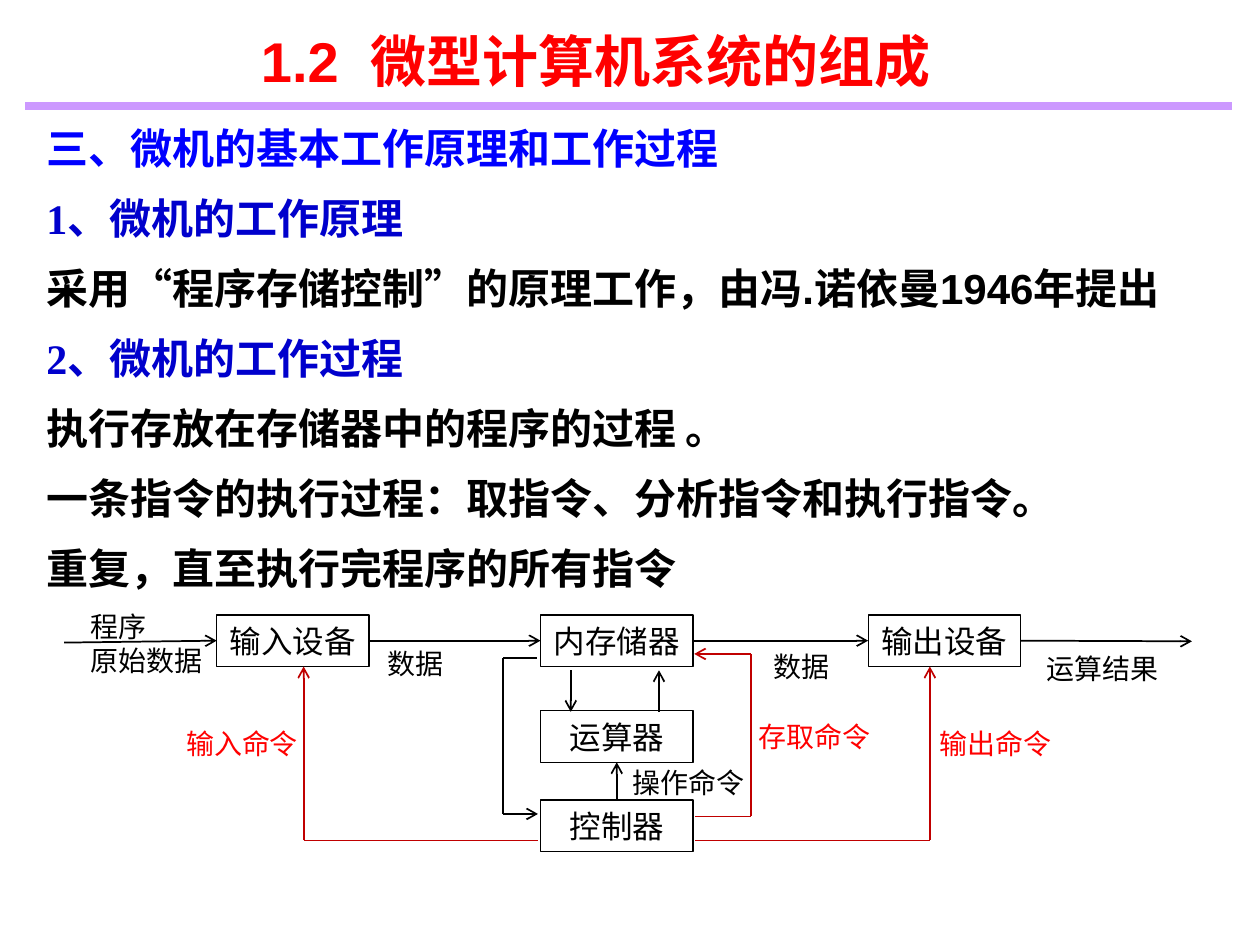
from dataclasses import dataclass
from itertools import pairwise

from lxml import etree
from pptx import Presentation
from pptx.dml.color import RGBColor
from pptx.enum.shapes import MSO_CONNECTOR, MSO_SHAPE
from pptx.enum.text import MSO_ANCHOR, MSO_AUTO_SIZE, PP_ALIGN
from pptx.oxml.ns import qn
from pptx.util import Inches, Pt

STRAIGHT = MSO_CONNECTOR.STRAIGHT
RECT = MSO_SHAPE.RECTANGLE
MIDDLE = MSO_ANCHOR.MIDDLE
CENTER = PP_ALIGN.CENTER
FIXED = MSO_AUTO_SIZE.NONE
TOP, LEFT, BOTTOM, RIGHT = range(4)

WIDE, TALL = Inches(10), Inches(7.5)
COLS, ROWS = 100, 75
SERIF, SANS = "Times New Roman", "Arial"
BLACK, RED, DARK = "000000", "FF0000", "C00000"
BLUE, NAVY, LILAC = "0000FF", "0000CC", "CC99FF"
BOX_W, BOX_H = 12.1, 4.1


@dataclass
class Unit:
    text: str
    col: float
    row: float


@dataclass
class Label:
    lines: tuple
    col: float
    row: float
    color: str = BLACK
    wide: float = 12.5


@dataclass
class Route:
    points: tuple
    color: str = BLACK


@dataclass
class Link:
    start: tuple
    end: tuple


def x(col: float) -> int:
    return round(WIDE * col / COLS)


def y(row: float) -> int:
    return round(TALL * row / ROWS)


def paint(code: str) -> RGBColor:
    return RGBColor.from_string(code)


def add_run(para, text: str, size: float, font: str, color: str, bold=False):
    run = para.add_run()
    run.text = text
    run.font.size = Pt(size)
    run.font.name = font
    run.font.bold = bold
    run.font.color.rgb = paint(color)
    return run


def add_text(slide, col: float, row: float, wide: float, tall: float):
    frame = slide.shapes.add_textbox(x(col), y(row), x(wide), y(tall)).text_frame
    frame.word_wrap = True
    return frame


def next_para(frame, index: int):
    return frame.add_paragraph() if index else frame.paragraphs[0]


def draw_line(slide, start: tuple, end: tuple, color=BLACK, width=1.0, arrow=False):
    line = slide.shapes.add_connector(
        STRAIGHT, x(start[0]), y(start[1]), x(end[0]), y(end[1]))
    line.line.color.rgb = paint(color)
    line.line.width = Pt(width)
    props = line._element.spPr
    if arrow:
        etree.SubElement(props.find(qn("a:ln")), qn("a:tailEnd"), type="arrow")
    etree.SubElement(props, qn("a:effectLst"))
    return line


def draw_route(slide, route: Route) -> None:
    legs = list(pairwise(route.points))
    for index, (start, end) in enumerate(legs, 1):
        draw_line(slide, start, end, route.color, arrow=index == len(legs))


def draw_link(slide, link: Link, boxes: dict) -> None:
    line = draw_line(slide, (0, 0), (1, 1), arrow=True)
    first, last = link.start, link.end
    if first[0] in boxes:
        line.begin_connect(boxes[first[0]], first[1])
    else:
        line.begin_x, line.begin_y = x(first[0]), y(first[1])
    if last[0] in boxes:
        line.end_connect(boxes[last[0]], last[1])
    else:
        line.end_x, line.end_y = x(last[0]), y(last[1])


def draw_unit(slide, unit: Unit):
    box = slide.shapes.add_shape(RECT, x(unit.col), y(unit.row), x(BOX_W), y(BOX_H))
    box.shadow.inherit = False
    box.fill.background()
    box.line.color.rgb = paint(BLACK)
    box.line.width = Pt(0.75)
    frame = box.text_frame
    frame.word_wrap = False
    frame.vertical_anchor = MIDDLE
    para = frame.paragraphs[0]
    para.alignment = CENTER
    add_run(para, unit.text, 18, SERIF, BLACK)
    return box


def draw_label(slide, label: Label) -> None:
    frame = add_text(slide, label.col, label.row, label.wide, 3.7)
    for index, text in enumerate(label.lines):
        add_run(next_para(frame, index), text, 16, SERIF, label.color)


def draw_title(slide) -> None:
    title = slide.shapes.title
    title.left, title.top, title.width, title.height = x(16.2), y(2.4), x(62.2), y(4.7)
    frame = title.text_frame
    frame.auto_size = FIXED
    frame.vertical_anchor = MIDDLE
    para = frame.paragraphs[0]
    para.alignment = CENTER
    add_run(para, "1.2", 32, SANS, RED, True)
    gap = add_run(para, " ", 32, SANS, RED, True)
    gap.font._element.set("spc", "900")
    add_run(para, "微型计算机系统的组成", 32, SANS, RED, True)


def draw_body(slide) -> None:
    frame = add_text(slide, 2.7, 9.2, 94.5, 39.4)
    for index, (text, font, color) in enumerate(BODY):
        para = next_para(frame, index)
        if index:
            para.line_spacing = Pt(40)
        add_run(para, text, 24, font, color, True)


BODY = (
    ("三、微机的基本工作原理和工作过程", SERIF, BLUE),
    ("1、微机的工作原理", SERIF, NAVY),
    ("采用“程序存储控制”的原理工作，由冯.诺依曼1946年提出", SANS, BLACK),
    ("2、微机的工作过程", SERIF, NAVY),
    ("执行存放在存储器中的程序的过程 。", SANS, BLACK),
    ("一条指令的执行过程：取指令、分析指令和执行指令。", SANS, BLACK),
    ("重复，直至执行完程序的所有指令", SANS, BLACK),
)
UNITS = (
    Unit("输入设备", 17.2, 48.8), Unit("内存储器", 42.9, 48.8),
    Unit("输出设备", 68.9, 48.8), Unit("运算器", 42.9, 56.4),
    Unit("控制器", 42.9, 63.5),
)
LINKS = (
    Link((5.1, 51), ("输入设备", LEFT)),
    Link(("输入设备", RIGHT), ("内存储器", LEFT)),
    Link(("内存储器", RIGHT), ("输出设备", LEFT)),
    Link(("输出设备", RIGHT), (94.6, 50.9)),
    Link(("控制器", TOP), ("运算器", BOTTOM)),
)
ROUTES = (
    Route(((45.3, 53.2), (45.3, 56.5))),
    Route(((52.3, 56.5), (52.3, 53.2))),
    Route(((42.6, 52.2), (39.9, 52.2), (39.9, 64.6), (42.7, 64.6))),
    Route(((42.7, 66.7), (24.1, 66.7), (24.1, 52.9)), DARK),
    Route(((55.2, 66.7), (73.8, 66.7), (73.8, 52.9)), DARK),
    Route(((55.2, 64.8), (59.6, 64.8), (59.6, 51.9), (55.1, 51.9)), DARK),
)
LABELS = (
    Label(("程序", "原始数据"), 6.2, 47.9),
    Label(("数据",), 29.8, 50.8, wide=7.6),
    Label(("数据",), 60.4, 51.1, wide=7.6),
    Label(("运算结果",), 82.1, 51.2),
    Label(("操作命令",), 49.2, 60.3),
    Label(("输入命令",), 13.8, 57.2, RED),
    Label(("输出命令",), 73.6, 57.2, RED),
    Label(("存取命令",), 59.2, 56.6, RED),
)


def main() -> None:
    deck = Presentation()
    deck.slide_width, deck.slide_height = WIDE, TALL
    slide = deck.slides.add_slide(deck.slide_layouts[5])
    draw_line(slide, (2, 8.4), (97.8, 8.4), LILAC, 4.25)
    draw_title(slide)
    draw_body(slide)
    boxes = {unit.text: draw_unit(slide, unit) for unit in UNITS}
    for link in LINKS:
        draw_link(slide, link, boxes)
    for route in ROUTES:
        draw_route(slide, route)
    for label in LABELS:
        draw_label(slide, label)
    deck.save("out.pptx")


if __name__ == "__main__":
    main()
